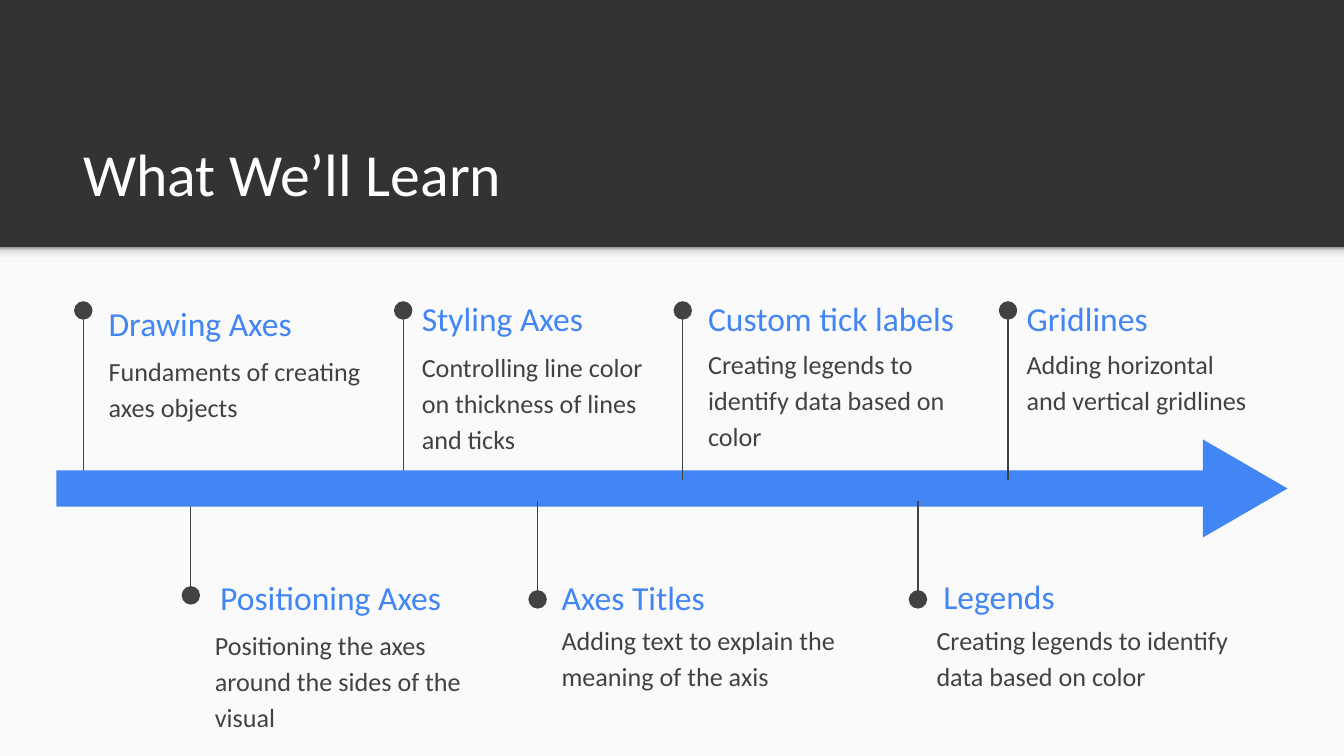
from lxml import etree
from pptx import Presentation
from pptx import util as u
from pptx.dml.color import RGBColor
from pptx.enum import shapes, text
from pptx.oxml import ns

# Content
TITLE = "What We’ll Learn"
COLORS = {"dark": "333333", "light": "FAFAFA", "blue": "4285F4",
          "ink": "424242", "white": "FFFFFF"}
SHADE = [(0, "F9F9F9"), (36, "F9F9F9"), (80, "DEDEDE"), (100, "999999")]
FONT = "Calibri"

# Topics: heading, its (left, top, width), body, its (left, top, width),
# stem (x, y at the arrow, y at the dot); lengths in px, 100 to the inch
BEHIND_ARROW = [
    ("Positioning Axes", (154, 423, 217),
     "Positioning the axes around the sides of the visual", (150, 455, 229),
     (142, 370, 443)),
    ("Styling Axes", (304, 215, 188),
     "Controlling line color on thickness of lines and ticks", (304, 248, 204),
     (300, 358, 231)),
    ("Drawing Axes", (71, 219, 216),
     "Fundaments of creating axes objects", (71, 251, 229),
     (62, 358, 231)),
]
OVER_ARROW = [
    ("Custom tick labels", (517, 215, 208),
     "Creating legends to identify data based on color", (517, 246, 208),
     (508, 357, 231)),
    ("Axes Titles", (408, 423, 242),
     "Adding text to explain the meaning of the axis", (408, 451, 246),
     (400, 373, 446)),
    ("Legends", (692, 422, 242),
     "Creating legends to identify data based on color", (687, 451, 246),
     (683, 373, 446)),
    ("Gridlines", (754, 215, 188),
     "Adding horizontal and vertical gridlines", (754, 246, 187),
     (750, 357, 231)),
]
HEADING_H, BODY_H = 43, 63
W, BAND_H = 1000, 184
H = W * 9 / 16

PX = u.Inches(1) // 100


def px(*values):
    return [int(v * PX) for v in values]


def rgb(name):
    return RGBColor.from_string(COLORS[name])


def add_text(s, words, box, size, color, anchor=text.MSO_ANCHOR.TOP,
             spacing=None, after=None):
    tf = s.shapes.add_textbox(*px(*box)).text_frame
    tf.word_wrap = True
    tf.vertical_anchor = anchor
    tf.margin_left = tf.margin_right = tf.margin_top = tf.margin_bottom = 10 * PX
    p = tf.paragraphs[0]
    p.line_spacing = spacing
    p.space_after = after
    r = p.add_run()
    r.text = words
    r.font.size, r.font.name = u.Pt(size), FONT
    r.font.color.rgb = rgb(color)


def add_block(parent, kind, box, color):
    sp = parent.shapes.add_shape(kind, *px(*box))
    sp.shadow.inherit = False
    sp.line.fill.background()
    sp.fill.solid()
    sp.fill.fore_color.rgb = rgb(color)
    return sp


def add_stem(s, x, start, end):
    c = s.shapes.add_connector(shapes.MSO_CONNECTOR.STRAIGHT,
                               *px(x, start, x, end))
    c.line.width = u.Pt(0.75)
    c.line.color.rgb = rgb("ink")
    etree.SubElement(c.line._get_or_add_ln(), ns.qn("a:tailEnd"),
                     type="oval", w="lg", len="lg")
    etree.SubElement(c._element.spPr, ns.qn("a:effectLst"))


def add_topic(s, heading, heading_at, body, body_at, stem):
    add_stem(s, *stem)
    add_text(s, heading, (*heading_at, HEADING_H), 18, "blue",
             anchor=text.MSO_ANCHOR.MIDDLE)
    add_text(s, body, (*body_at, BODY_H), 14, "ink",
             spacing=1.15, after=u.Pt(16))


def add_arrow(s):
    group = s.shapes.add_group_shape()
    head = add_block(group, shapes.MSO_SHAPE.ISOSCELES_TRIANGLE,
                     (890, 332, 73, 63), "blue")
    head.rotation = 90
    add_block(group, shapes.MSO_SHAPE.RECTANGLE, (42, 350, 864, 27), "blue")


def add_band_shadow(s):
    sp = add_block(s, shapes.MSO_SHAPE.RECTANGLE, (0, BAND_H, W, 12), "light")
    sp.fill.gradient()
    sp.fill.gradient_angle = 90
    stops = sp._element.spPr.find(ns.qn("a:gradFill")).find(ns.qn("a:gsLst"))
    for stop in list(stops):
        stops.remove(stop)
    for percent, color in SHADE:
        stop = etree.SubElement(stops, ns.qn("a:gs"), pos=str(percent * 1000))
        etree.SubElement(stop, ns.qn("a:srgbClr"), val=color)


def main():
    prs = Presentation()
    prs.slide_width, prs.slide_height = px(W, H)
    s = prs.slides.add_slide(prs.slide_layouts[6])

    # Dark header over a light page
    s.background.fill.solid()
    s.background.fill.fore_color.rgb = rgb("dark")
    add_block(s, shapes.MSO_SHAPE.RECTANGLE, (0, BAND_H, W, H - BAND_H), "light")
    add_band_shadow(s)
    add_text(s, TITLE, (52, 81, 899, 84), 32, "white",
             anchor=text.MSO_ANCHOR.BOTTOM)

    # Timeline
    for topic in BEHIND_ARROW:
        add_topic(s, *topic)
    add_arrow(s)
    for topic in OVER_ARROW:
        add_topic(s, *topic)

    prs.save("out.pptx")


if __name__ == "__main__":
    main()
